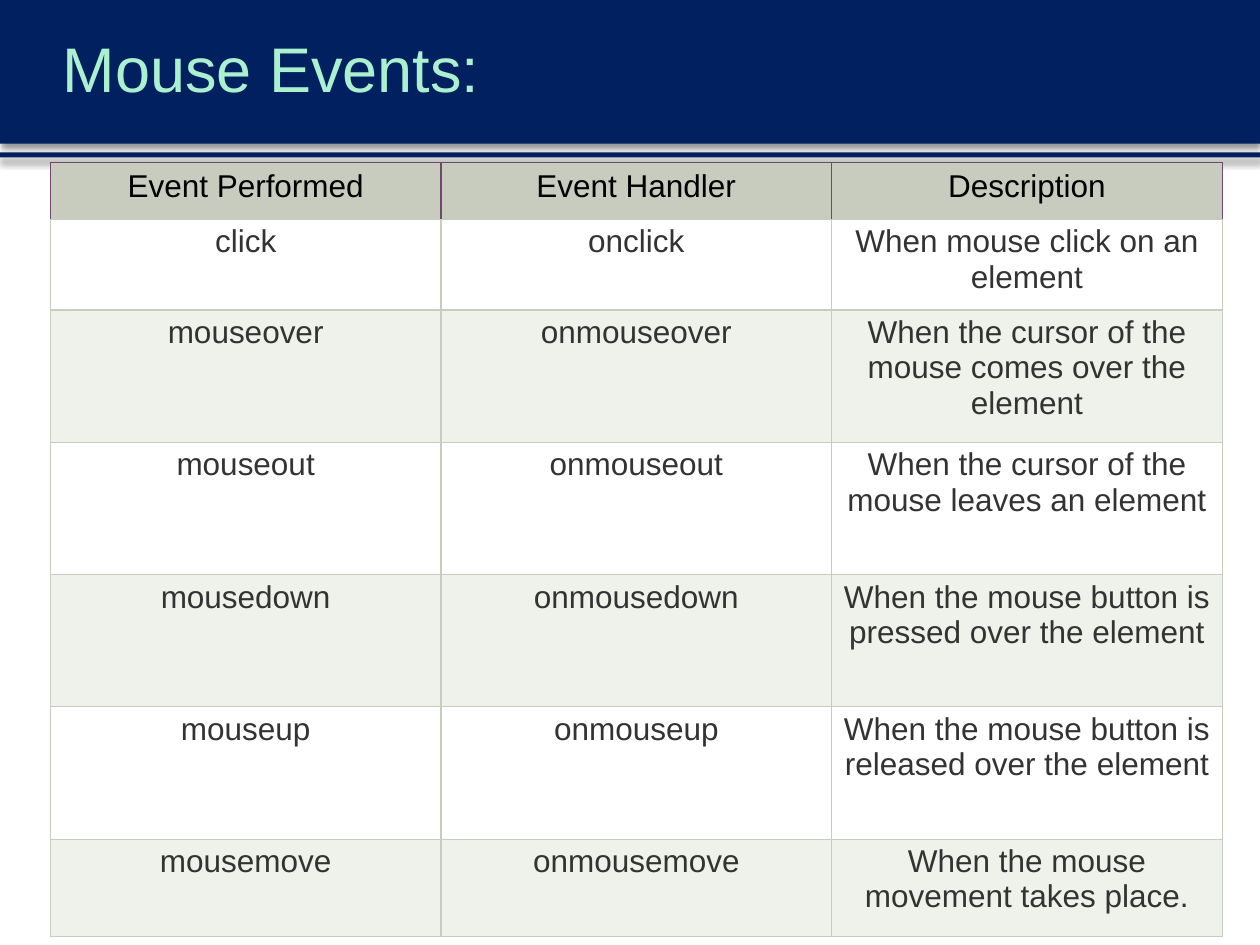
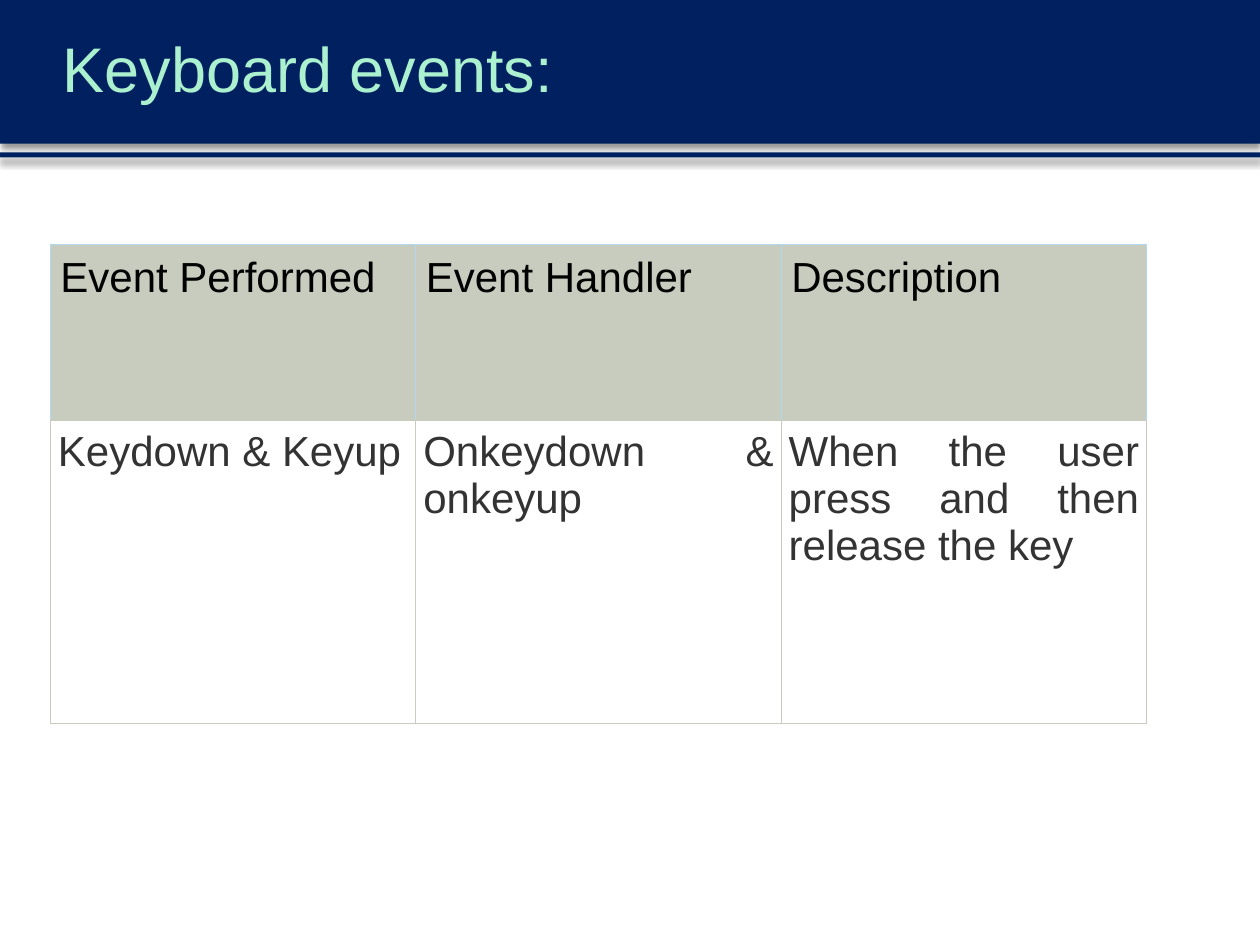
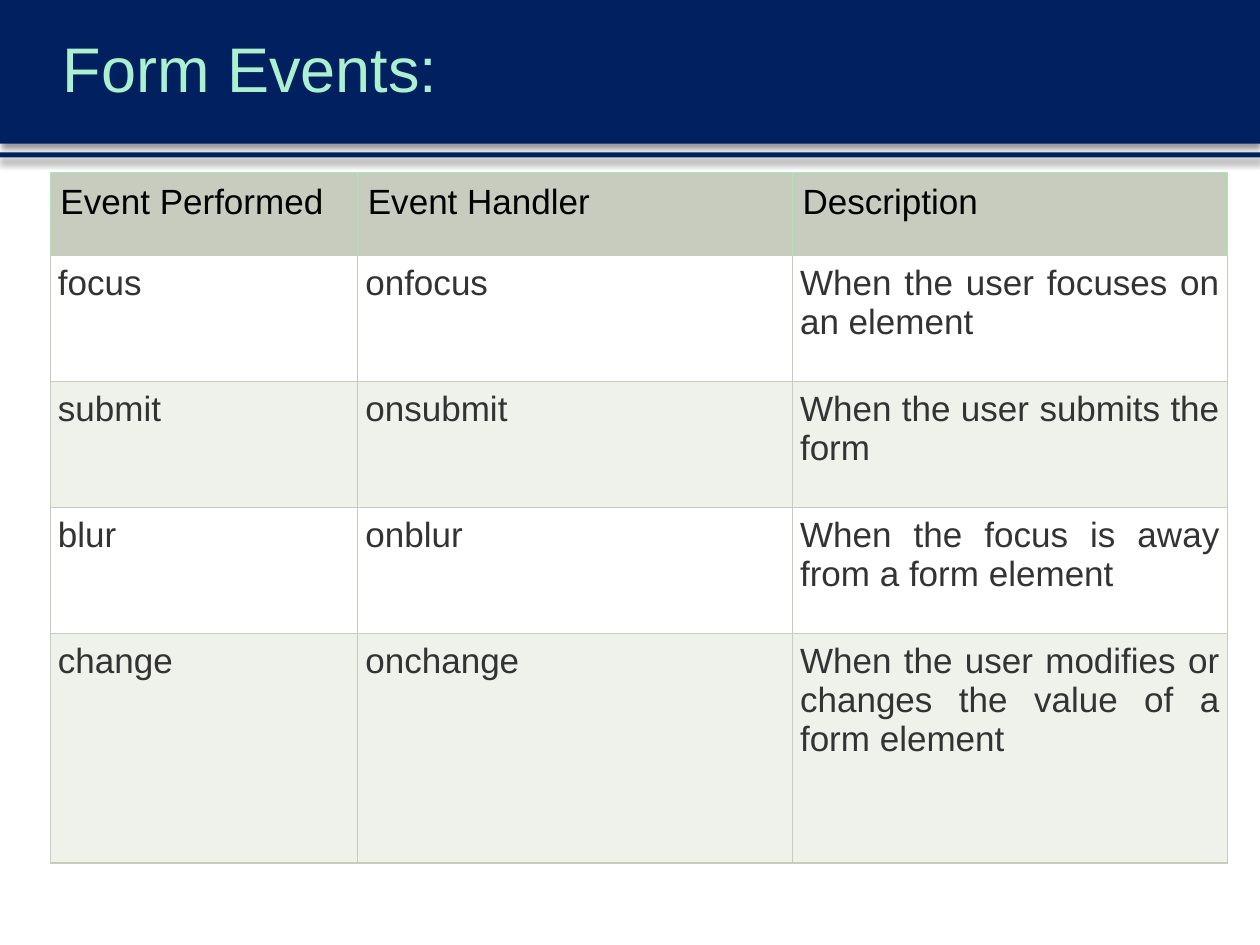
"""Build three slides that list JavaScript events in tables."""
import dataclasses

import lxml.etree
import pptx
import pptx.dml.color
import pptx.enum.shapes
import pptx.enum.text
import pptx.oxml.ns
import pptx.util

Inches = pptx.util.Inches
ALIGN = pptx.enum.text.PP_ALIGN

HEADINGS = ("Event Performed", "Event Handler", "Description")
TOPICS = [
    {
        "title": "Mouse Events:",
        "events": [
            ("click", "onclick", "When mouse click on an element"),
            ("mouseover", "onmouseover", "When the cursor of the mouse comes over the element"),
            ("mouseout", "onmouseout", "When the cursor of the mouse leaves an element"),
            ("mousedown", "onmousedown", "When the mouse button is pressed over the element"),
            ("mouseup", "onmouseup", "When the mouse button is released over the element"),
            ("mousemove", "onmousemove", "When the mouse movement takes place."),
        ],
        "top": 1.29,
        "columns": (3.1, 3.1, 3.1),
        "rows": (0.45, 0.72, 1.05, 1.05, 1.05, 1.05, 0.77),
        "size": 18,
        "edge": "70476D",
        "insets": (0.05, 0.04),
        "aligns": (ALIGN.CENTER, ALIGN.CENTER),
    },
    {
        "title": "Keyboard events:",
        "events": [
            ("Keydown & Keyup", "Onkeydown & onkeyup",
             "When the user press and then release the key"),
        ],
        "top": 1.94,
        "columns": (2.9, 2.9, 2.9),
        "rows": (1.4, 2.4),
        "size": 24,
        "edge": "B0D9EF",
        "insets": (0.08, 0.06),
        "aligns": (ALIGN.LEFT, ALIGN.JUSTIFY),
    },
    {
        "title": "Form Events:",
        "events": [
            ("focus", "onfocus", "When the user focuses on an element"),
            ("submit", "onsubmit", "When the user submits the form"),
            ("blur", "onblur", "When the focus is away from a form element"),
            ("change", "onchange",
             "When the user modifies or changes the value of a form element"),
        ],
        "top": 1.37,
        "columns": (2.44, 3.45, 3.45),
        "rows": (0.66, 1, 1, 1, 1.82),
        "size": 20,
        "edge": "A0EDB2",
        "insets": (0.08, 0.06),
        "aligns": (ALIGN.LEFT, ALIGN.JUSTIFY),
    },
]


@dataclasses.dataclass(frozen=True)
class Theme:
    font: str = "Arial"
    title_size: int = 36
    title: str = "ABF1CF"
    band: str = "002060"
    shadow: str = "000000"
    heading: str = "000000"
    body: str = "333333"
    header: str = "C7CCBE"
    rule: str = "C7CCBE"
    stripes: tuple = ("FFFFFF", "EFF1EB")


THEME = Theme()
LEFT = 0.4
BANDS = ((0, 1.14), (1.21, 0.04))


def rgb(color):
    return pptx.dml.color.RGBColor.from_string(color)


def add_child(parent, tag, **attributes):
    child = lxml.etree.SubElement(parent, pptx.oxml.ns.qn(tag))
    for key, value in attributes.items():
        child.set(key, str(value))
    return child


def write(frame, text, *, size, color, align=ALIGN.LEFT, spacing=1.0):
    frame.word_wrap = True
    paragraph = frame.paragraphs[0]
    paragraph.alignment = align
    paragraph.line_spacing = spacing
    run = paragraph.add_run()
    run.text = text
    run.font.name = THEME.font
    run.font.size = pptx.util.Pt(size)
    run.font.color.rgb = rgb(color)


def add_band(slide, top, height):
    band = slide.shapes.add_shape(
        pptx.enum.shapes.MSO_SHAPE.RECTANGLE, 0, Inches(top), Inches(10), Inches(height))
    band.fill.solid()
    band.fill.fore_color.rgb = rgb(THEME.band)
    band.line.fill.background()
    band.shadow.inherit = False
    effects = band._element.spPr.find(pptx.oxml.ns.qn("a:effectLst"))
    shadow = add_child(effects, "a:outerShdw", blurRad=pptx.util.Pt(4),
                       dist=pptx.util.Pt(3), dir=90 * 60000, rotWithShape=0)
    add_child(add_child(shadow, "a:srgbClr", val=THEME.shadow), "a:alpha", val=40000)


def add_title(slide, text):
    title = slide.shapes.add_textbox(Inches(LEFT), 0, Inches(9.3), Inches(1.14))
    title.text_frame.vertical_anchor = pptx.enum.text.MSO_ANCHOR.MIDDLE
    write(title.text_frame, text, size=THEME.title_size, color=THEME.title, spacing=0.9)


def style_cell(cell, fill, inset, edge):
    cell.margin_left = cell.margin_right = Inches(inset)
    cell.margin_top = cell.margin_bottom = Inches(inset)
    properties = cell._tc.get_or_add_tcPr()
    for side, color in zip("LRTB", (edge, edge, edge, THEME.rule)):
        border = add_child(properties, f"a:ln{side}", w=pptx.util.Pt(0.75))
        add_child(add_child(border, "a:solidFill"), "a:srgbClr", val=color)
    cell.fill.solid()
    cell.fill.fore_color.rgb = rgb(fill)


def add_events(slide, topic):
    columns, heights = topic["columns"], topic["rows"]
    events = slide.shapes.add_table(
        len(heights), len(columns), Inches(LEFT), Inches(topic["top"]),
        Inches(sum(columns)), Inches(sum(heights))).table
    events.first_row = events.horz_banding = False
    for column, width in zip(events.columns, columns):
        column.width = Inches(width)
    for index, entries in enumerate([HEADINGS, *topic["events"]]):
        events.rows[index].height = Inches(heights[index])
        part = min(index, 1)
        fill = THEME.stripes[(index - 1) % 2] if part else THEME.header
        for cell, text in zip(events.rows[index].cells, entries):
            style_cell(cell, fill, topic["insets"][part], (topic["edge"], THEME.rule)[part])
            write(cell.text_frame, text, size=topic["size"],
                  color=(THEME.heading, THEME.body)[part], align=topic["aligns"][part])


def main():
    deck = pptx.Presentation()
    deck.slide_width, deck.slide_height = Inches(10), Inches(7.5)
    for topic in TOPICS:
        slide = deck.slides.add_slide(deck.slide_layouts[6])
        for top, height in BANDS:
            add_band(slide, top, height)
        add_title(slide, topic["title"])
        add_events(slide, topic)
    deck.save("out.pptx")


if __name__ == "__main__":
    main()
